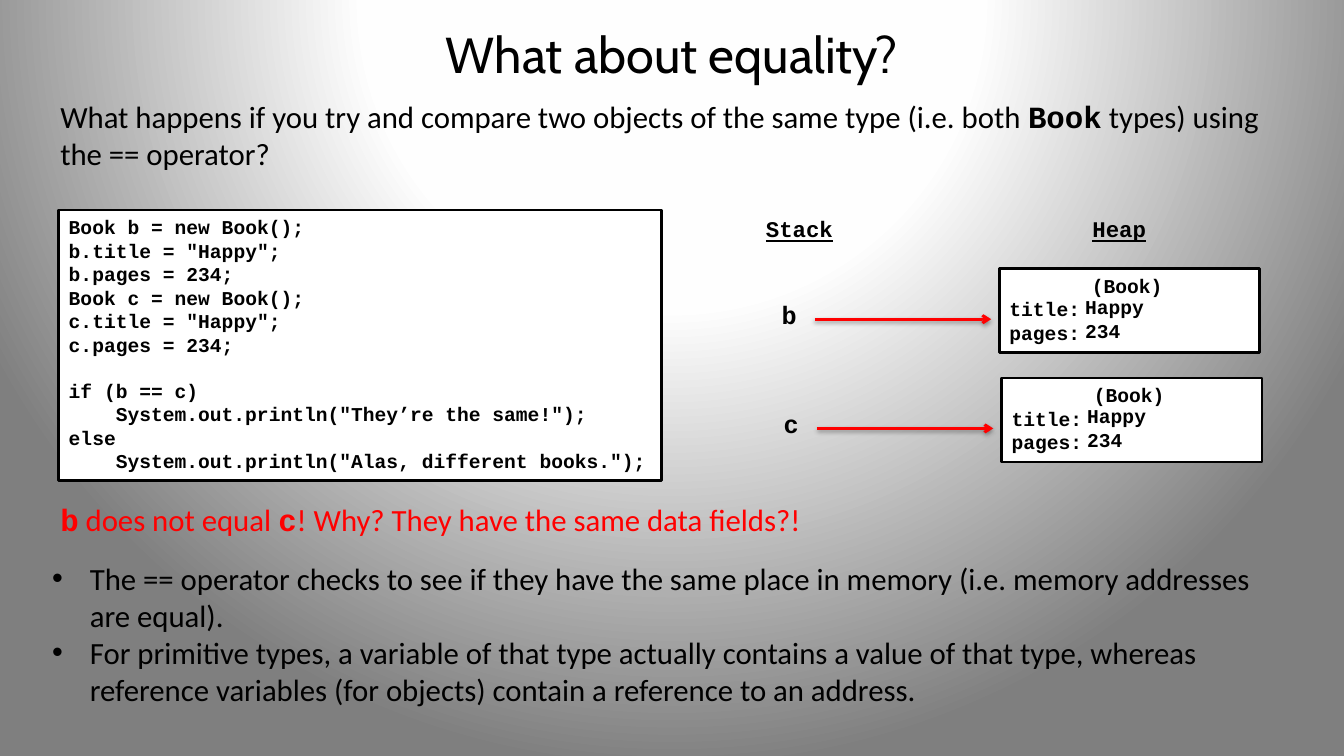
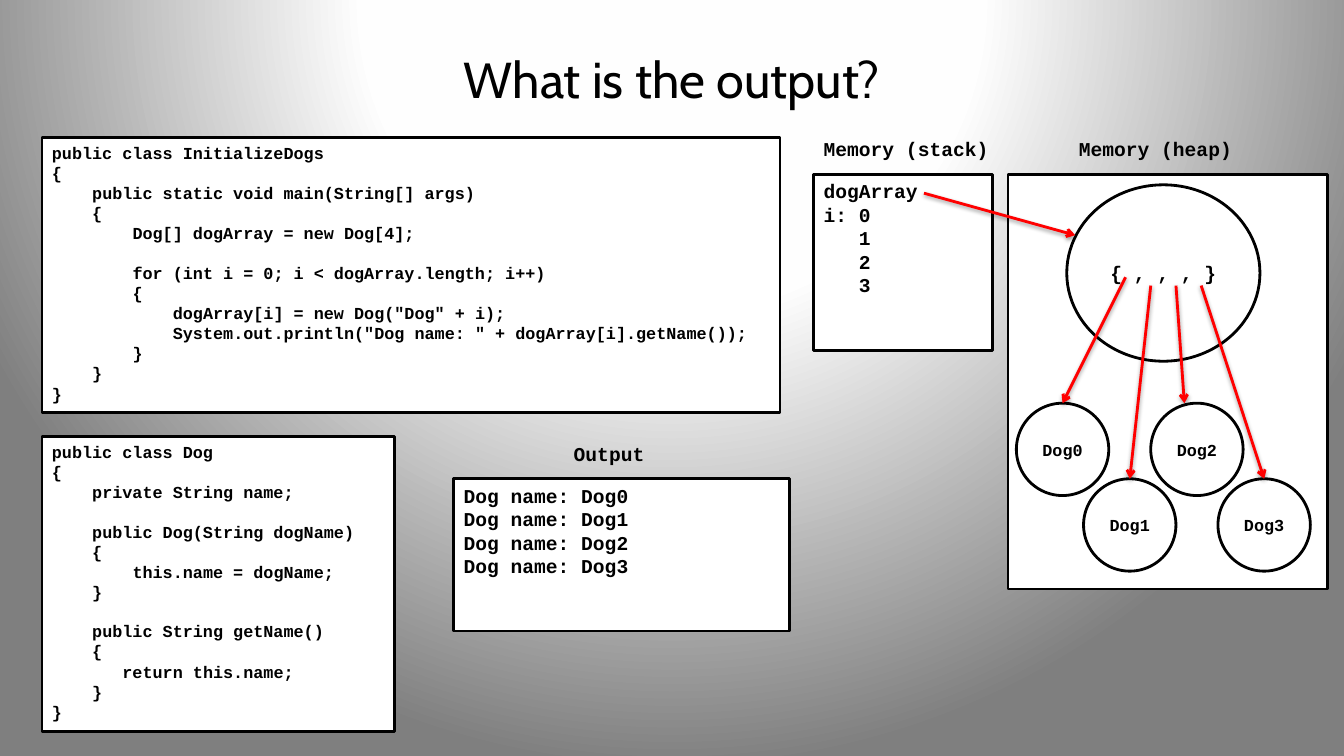
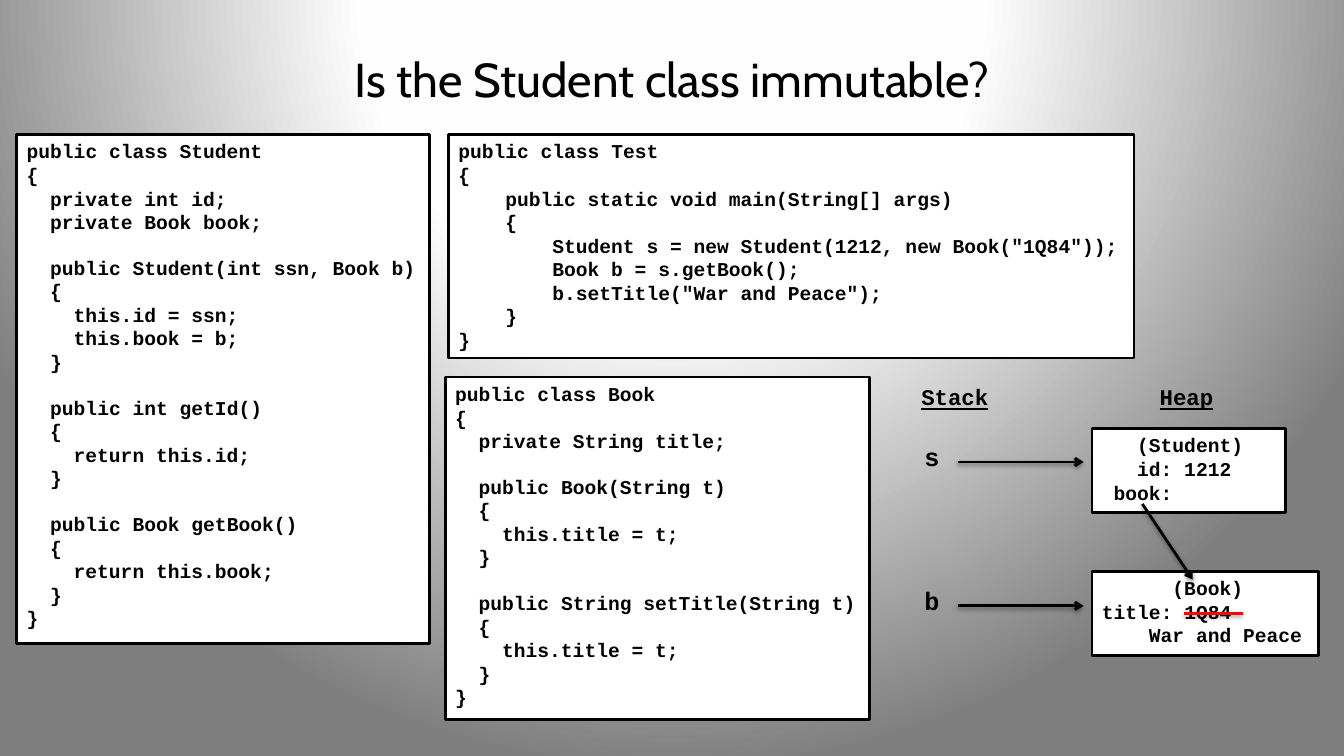
from dataclasses import dataclass

from pptx import Presentation
from pptx.dml.color import RGBColor as RGB
from pptx.enum.shapes import MSO_CONNECTOR as LINK, MSO_SHAPE as KIND
from pptx.enum.text import MSO_ANCHOR as ANCHOR, MSO_AUTO_SIZE as FIT, PP_ALIGN as ALIGN
from pptx.oxml import parse_xml
from pptx.oxml.ns import nsdecls, qn
from pptx.util import Emu, Pt


@dataclass(frozen=True)
class Theme:
    ink: str = "000000"
    paper: str = "FFFFFF"
    glow: str = "FEFEFE"
    edge: str = "7F7F7F"
    red: str = "FF0000"
    head: str = "Cabin"
    sans: str = "Calibri"
    mono: str = "Courier New"
    title: int = 36
    text: int = 22
    name: int = 18
    mark: int = 16
    code: int = 14
    small: int = 12
    rule: int = 2
    wide: float = 0.6
    lead: float = 1.133


T = Theme()

EQUAL = """Book b = new Book();
b.title = "Happy";
b.pages = 234;
Book c = new Book();
c.title = "Happy";
c.pages = 234;

if (b == c)
    System.out.println("They’re the same!");
else
    System.out.println("Alas, different books.");"""

INIT = """public class InitializeDogs
{
    public static void main(String[] args)
    {
        Dog[] dogArray = new Dog[4];

        for (int i = 0; i < dogArray.length; i++)
        {
            dogArray[i] = new Dog("Dog" + i);
            System.out.println("Dog name: " + dogArray[i].getName());
        }
    }
}"""

DOG = """public class Dog
{
    private String name;

    public Dog(String dogName)
    {
        this.name = dogName;
    }

    public String getName()
    {
       return this.name;
    }
}"""

STUDENT = """public class Student
{
  private int id;
  private Book book;

  public Student(int ssn, Book b)
  {
    this.id = ssn;
    this.book = b;
  }

  public int getId()
  {
    return this.id;
  }

  public Book getBook()
  {
    return this.book;
  }
}"""

TEST = """public class Test
{
    public static void main(String[] args)
    {
        Student s = new Student(1212, new Book("1Q84"));
        Book b = s.getBook();
        b.setTitle("War and Peace");
    }
}"""

BOOK = """public class Book
{
  private String title;

  public Book(String t)
  {
    this.title = t;
  }

  public String setTitle(String t)
  {
    this.title = t;
  }
}"""

STACK = """dogArray
i: 0
   1
   2
   3"""

FIELDS = """       (Book)
title:
pages:"""

PUPIL = """   (Student)
   id: 1212
 book:"""

NOVEL = """      (Book)
title: 1Q84
    War and Peace"""

POINTS = (
    "The == operator checks to see if they have the same place in memory (i.e. memory addresses are equal).",
    "For primitive types, a variable of that type actually contains a value of that type, "
    "whereas reference variables (for objects) contain a reference to an address.",
)


def px(n):
    return Emu(n * 9525)


def place(shape, box):
    shape.left, shape.top, shape.width, shape.height = map(px, box)


def style(par, size, face=T.mono, ink=T.ink, bold=True, under=False):
    for run in par.runs:
        font = run.font
        font.name, font.size, font.bold, font.underline = face, Pt(size), bold, under
        font.color.rgb = RGB.from_string(ink)


def lines(frame, text, size):
    gap, par = 0, None
    for row in text.splitlines():
        if not row:
            gap += 1
            continue
        par = frame.add_paragraph() if par is not None else frame.paragraphs[0]
        par.text = row.lstrip()
        par.alignment = ALIGN.LEFT
        par.space_before = Pt(round(gap * size * T.lead, 1))
        pad = len(row) - len(par.text)
        props = par._p.get_or_add_pPr()
        props.set("marL", str(Pt(pad * size * T.wide)))
        props.set("indent", "0")
        style(par, size)
        gap = 0


def panel(slide, box, kind=KIND.RECTANGLE):
    shape = slide.shapes.add_shape(kind, *map(px, box))
    shape.shadow.inherit = False
    shape.fill.solid()
    shape.fill.fore_color.rgb = RGB.from_string(T.paper)
    shape.line.color.rgb = RGB.from_string(T.ink)
    shape.line.width = Pt(T.rule)
    return shape


def code(slide, box, text, size=T.code):
    frame = panel(slide, box).text_frame
    frame.word_wrap = True
    frame.vertical_anchor = ANCHOR.TOP
    lines(frame, text, size)


def ball(slide, box, text, size):
    frame = panel(slide, box, KIND.OVAL).text_frame
    frame.vertical_anchor = ANCHOR.MIDDLE
    frame.text = text
    frame.paragraphs[0].alignment = ALIGN.CENTER
    style(frame.paragraphs[0], size)


def label(slide, box, text, size=T.code, under=False):
    frame = slide.shapes.add_textbox(*map(px, box)).text_frame
    frame.word_wrap = False
    frame.text = text
    style(frame.paragraphs[0], size, under=under)


def prose(slide, box, parts, ink=T.ink):
    frame = slide.shapes.add_textbox(*map(px, box)).text_frame
    frame.word_wrap = True
    par = frame.paragraphs[0]
    for text in parts:
        par.add_run().text = text
    style(par, T.text, T.sans, ink, False)
    for run in par.runs:
        if run.text in ("Book", "b", "c"):
            run.font.name, run.font.bold = T.mono, True


def link(slide, start, end, ink=T.red, head=True):
    line = slide.shapes.add_connector(LINK.STRAIGHT, *map(px, start + end))
    line.line.color.rgb = RGB.from_string(ink)
    line.line.width = Pt(T.rule)
    props = line.element.spPr
    if head:
        props.find(qn("a:ln")).append(parse_xml(f'<a:tailEnd {nsdecls("a")} type="arrow"/>'))
    props.append(parse_xml(
        f'<a:effectLst {nsdecls("a")}><a:outerShdw blurRad="40000" dist="20000" dir="5400000" rotWithShape="0">'
        f'<a:srgbClr val="{T.ink}"><a:alpha val="38000"/></a:srgbClr></a:outerShdw></a:effectLst>'))


def refer(slide, name, x, y, end, ink):
    label(slide, (x - 41, y - 24, 34, 38), name, T.name)
    link(slide, (x, y), (end, y), ink)


def marks(slide, stack, heap, y):
    label(slide, (stack, y, 84, 36), "Stack", T.mark, True)
    label(slide, (heap, y, 71, 36), "Heap", T.mark, True)


def record(slide, x, y, name):
    code(slide, (x, y, 248, 80), FIELDS)
    label(slide, (x + 72, y + 20, 76, 33), "Happy")
    label(slide, (x + 72, y + 43, 54, 33), "234")
    refer(slide, name, x - 176, y + 48, x - 8, T.red)


def heap(slide, x, y):
    panel(slide, (x, y, 304, 395))
    ball(slide, (x + 56, y + 10, 184, 168), "{ , , , }", T.code)
    tops = [y + 218 + 72 * (i % 2) for i in range(4)]
    for i, top in enumerate(tops):
        ball(slide, (x + 8 + 64 * i, top, 88, 88), f"Dog{i}", T.small)
    ends = ((98, 52), (106, 116), (106, 168), (106, 244))
    for i, (drop, end) in enumerate(ends):
        link(slide, (x + 112 + 24 * i, y + drop), (x + end, tops[i]))


def bullets(slide, box):
    body = slide.placeholders[1]
    place(body, box)
    frame = body.text_frame
    frame.auto_size = FIT.NONE
    frame.text = "\n".join(POINTS)
    for par in frame.paragraphs:
        par.space_before = Pt(0)
        style(par, T.text, T.sans, bold=False)


def start(deck, layout, title, top=29, size=T.title):
    slide = deck.slides.add_slide(deck.slide_layouts[layout])
    head = slide.shapes.title
    place(head, (64, top, 1152, 91))
    frame = head.text_frame
    frame.auto_size = FIT.NONE
    frame.vertical_anchor = ANCHOR.MIDDLE
    frame.text = title
    frame.paragraphs[0].alignment = ALIGN.CENTER
    style(frame.paragraphs[0], size, T.head, bold=False)
    return slide


def backdrop(deck):
    tree = deck.slide_master.element.cSld
    old = tree.find(qn("p:bg"))
    if old is not None:
        tree.remove(old)
    stops = "".join(
        f'<a:gs pos="{pos}000"><a:srgbClr val="{ink}"/></a:gs>'
        for pos, ink in ((0, T.paper), (40, T.glow), (100, T.edge)))
    tree.insert(0, parse_xml(
        f'<p:bg {nsdecls("p", "a")}><p:bgPr><a:gradFill rotWithShape="1"><a:gsLst>{stops}</a:gsLst>'
        '<a:path path="circle"><a:fillToRect l="50000" t="-80000" r="50000" b="180000"/></a:path>'
        '</a:gradFill><a:effectLst/></p:bgPr></p:bg>'))


def equality(deck):
    slide = start(deck, 1, "What about equality?", 5)
    prose(slide, (48, 88, 1192, 106), (
        "What happens if you try and compare two objects of the same type (i.e. both ",
        "Book", " types) using the == operator?"))
    code(slide, (56, 200, 574, 258), EQUAL)
    prose(slide, (48, 472, 734, 45), (
        "b", " does not equal ", "c", "! Why? They have the same data fields?!"), T.red)
    bullets(slide, (40, 528, 1176, 152))
    marks(slide, 720, 1031, 200)
    record(slide, 952, 256, "b")
    record(slide, 954, 360, "c")


def output(deck):
    slide = start(deck, 5, "What is the output?")
    code(slide, (40, 131, 703, 262), INIT, T.small)
    code(slide, (40, 416, 336, 281), DOG, T.small)
    label(slide, (775, 126, 178, 33), "Memory (stack)")
    code(slide, (775, 166, 170, 168), STACK)
    label(slide, (1018, 126, 166, 33), "Memory (heap)")
    heap(slide, 960, 166)
    label(slide, (537, 416, 87, 33), "Output")
    code(slide, (432, 456, 320, 145), "\n".join(f"Dog name: Dog{i}" for i in range(4)))
    link(slide, (880, 184), (1024, 224))


def student(deck):
    slide = start(deck, 5, "Is the Student class immutable?", size=34)
    code(slide, (16, 128, 393, 485), STUDENT)
    code(slide, (427, 128, 653, 213), TEST)
    code(slide, (424, 359, 404, 326), BOOK)
    marks(slide, 868, 1095, 360)
    code(slide, (1040, 408, 184, 80), PUPIL)
    code(slide, (1040, 544, 216, 80), NOVEL)
    refer(slide, "s", 912, 440, 1032, T.ink)
    refer(slide, "b", 912, 577, 1032, T.ink)
    link(slide, (1088, 480), (1136, 552), T.ink)
    link(slide, (1128, 584), (1184, 584), head=False)


def main():
    deck = Presentation()
    deck.slide_width, deck.slide_height = px(1280), px(720)
    backdrop(deck)
    equality(deck)
    output(deck)
    student(deck)
    deck.save("out.pptx")


if __name__ == "__main__":
    main()
